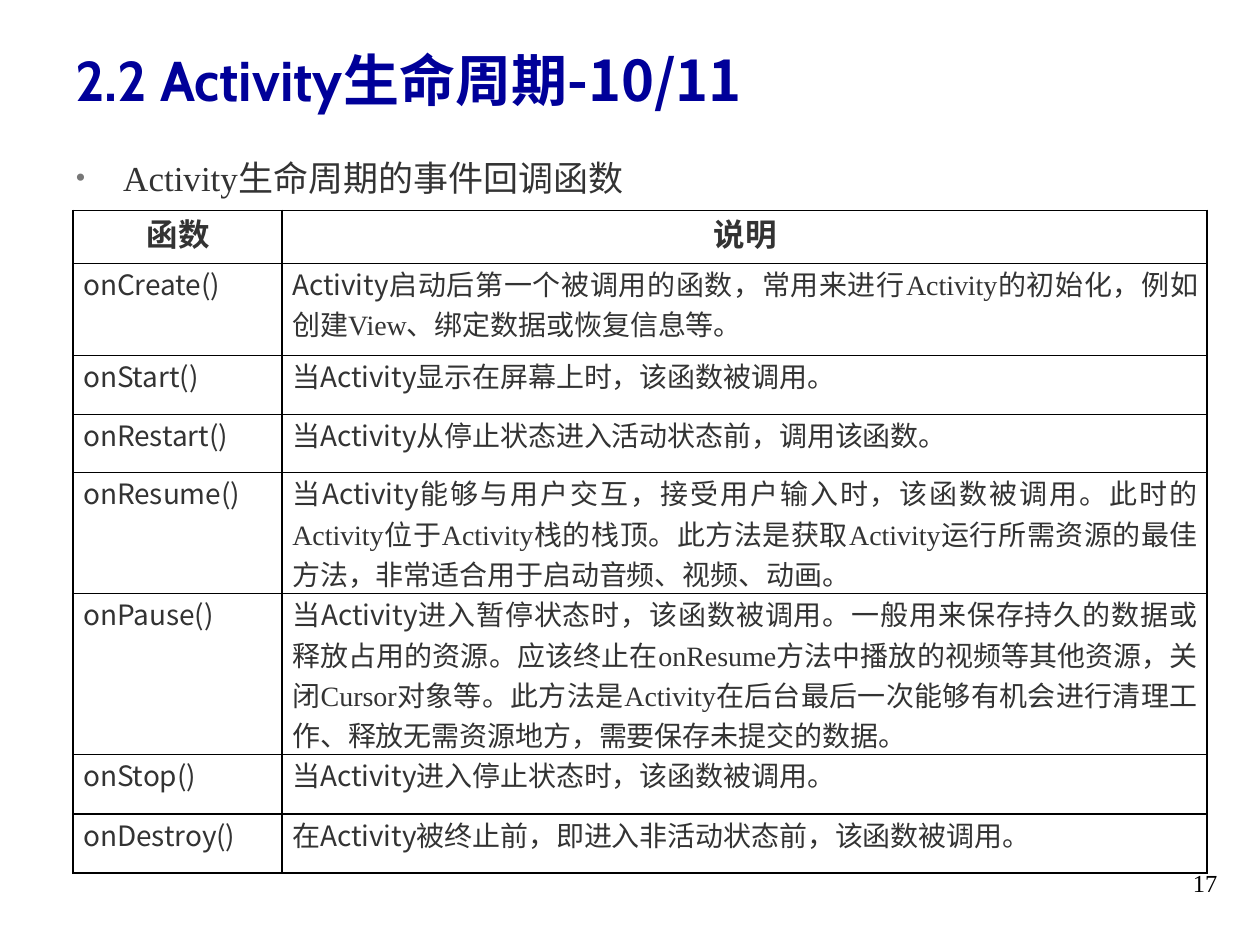
from lxml import etree
from pptx import Presentation
from pptx.dml.color import RGBColor
from pptx.enum.text import PP_ALIGN
from pptx.oxml.ns import qn
from pptx.util import Inches, Pt

CENTER, JUSTIFY = PP_ALIGN.CENTER, PP_ALIGN.JUSTIFY
SANS, SERIF, HEAD = "Noto Sans CJK SC", "Times New Roman", "Cabin"
COLORS = {"title": "000099", "text": "333333", "dot": "777777",
          "line": "000000", "page": "000000", "cell": "FFFFFF"}
COLS = (1.66, 7.34)
HEADS = ("函数", "说明")
ROWS = (
    (0.73, "onCreate()", "",
     "启动后第一个被调用的函数，常用来进行Activity的初始化，例如创建View、绑定数据或恢复信息等。"),
    (0.47, "onStart()", "当", "显示在屏幕上时，该函数被调用。"),
    (0.46, "onRestart()", "当", "从停止状态进入活动状态前，调用该函数。"),
    (0.96, "onResume()", "当",
     "能够与用户交互，接受用户输入时，该函数被调用。此时的Activity位于Activity栈的栈顶。"
     "此方法是获取Activity运行所需资源的最佳方法，非常适合用于启动音频、视频、动画。"),
    (1.28, "onPause()", "当",
     "进入暂停状态时，该函数被调用。一般用来保存持久的数据或释放占用的资源。"
     "应该终止在onResume方法中播放的视频等其他资源，关闭Cursor对象等。"
     "此方法是Activity在后台最后一次能够有机会进行清理工作、释放无需资源地方，需要保存未提交的数据。"),
    (0.47, "onStop()", "当", "进入停止状态时，该函数被调用。"),
    (0.47, "onDestroy()", "在", "被终止前，即进入非活动状态前，该函数被调用。"),
)


def add_run(para, text, font, size, color, bold=False):
    """Add a run with matching Latin and East Asian fonts."""
    run = para.add_run()
    run.text = text
    run.font.name = font
    run.font.size = Pt(size)
    run.font.bold = bold
    run.font.color.rgb = RGBColor.from_string(COLORS[color])
    etree.SubElement(run.font._element, qn("a:ea"), typeface=SANS)


def add_box(slide, left, top, width, height, wrap=True):
    """Add a text box and return its first paragraph."""
    box = slide.shapes.add_textbox(Inches(left), Inches(top), Inches(width), Inches(height))
    box.text_frame.word_wrap = wrap
    return box.text_frame.paragraphs[0]


def add_bullet(para):
    """Give a paragraph a hanging grey dot."""
    props = para._p.get_or_add_pPr()
    props.set("marL", str(Inches(0.38)))
    props.set("indent", str(-Inches(0.38)))
    color = etree.SubElement(props, qn("a:buClr"))
    etree.SubElement(color, qn("a:srgbClr"), val=COLORS["dot"])
    etree.SubElement(props, qn("a:buSzPct"), val="85000")
    etree.SubElement(props, qn("a:buFont"), typeface=SERIF)
    etree.SubElement(props, qn("a:buChar"), char="•")


def add_edges(cell):
    """Draw thin lines on all four sides of a cell."""
    props = cell._tc.get_or_add_tcPr()
    for spot, side in enumerate(("lnL", "lnR", "lnT", "lnB")):
        line = etree.Element(qn(f"a:{side}"), w=str(Pt(1)))
        fill = etree.SubElement(line, qn("a:solidFill"))
        etree.SubElement(fill, qn("a:srgbClr"), val=COLORS["line"])
        props.insert(spot, line)


def fill_cell(cell, align, parts, size, bold=False):
    """Style a cell and write its text and font pairs."""
    cell.margin_left, cell.margin_right = Inches(0.08), Inches(0.07)
    cell.margin_top = cell.margin_bottom = 0
    cell.fill.solid()
    cell.fill.fore_color.rgb = RGBColor.from_string(COLORS["cell"])
    add_edges(cell)
    para = cell.text_frame.paragraphs[0]
    para.alignment = align
    for text, font in parts:
        if text:
            add_run(para, text, font, size, "text", bold)


def add_grid(slide):
    """Add the table of callback functions."""
    highs = [0.42] + [row[0] for row in ROWS]
    table = slide.shapes.add_table(
        len(highs), len(COLS), Inches(0.58), Inches(1.67),
        Inches(sum(COLS)), Inches(sum(highs))).table
    for col, width in zip(table.columns, COLS):
        col.width = Inches(width)
    for row, high in zip(table.rows, highs):
        row.height = Inches(high)
    for col, text in enumerate(HEADS):
        fill_cell(table.cell(0, col), CENTER, [(text, SERIF)], 18, True)
    for row, (_, name, lead, rest) in enumerate(ROWS, 1):
        fill_cell(table.cell(row, 0), JUSTIFY, [(name, SANS)], 16)
        parts = [(lead, SERIF), ("Activity", SANS), (rest, SERIF)]
        fill_cell(table.cell(row, 1), JUSTIFY, parts, 16)


def main():
    """Build and save the slide."""
    deck = Presentation()
    deck.slide_width, deck.slide_height = Inches(10), Inches(7.5)
    slide = deck.slides.add_slide(deck.slide_layouts[6])
    page = add_box(slide, 9.37, 6.84, 0.63, 0.33, False)
    add_run(page, "17", SERIF, 14, "page")
    topic = add_box(slide, 0.5, 1.09, 9, 5.67)
    topic.line_spacing = 1.3
    add_bullet(topic)
    add_run(topic, "Activity生命周期的事件回调函数", SERIF, 20, "text")
    add_grid(slide)
    title = add_box(slide, 0.5, 0.31, 7.97, 0.77)
    add_run(title, "2.2 Activity", HEAD, 32, "title", True)
    add_run(title, "生命周期-10/11", SANS, 32, "title", True)
    deck.save("out.pptx")


if __name__ == "__main__":
    main()
